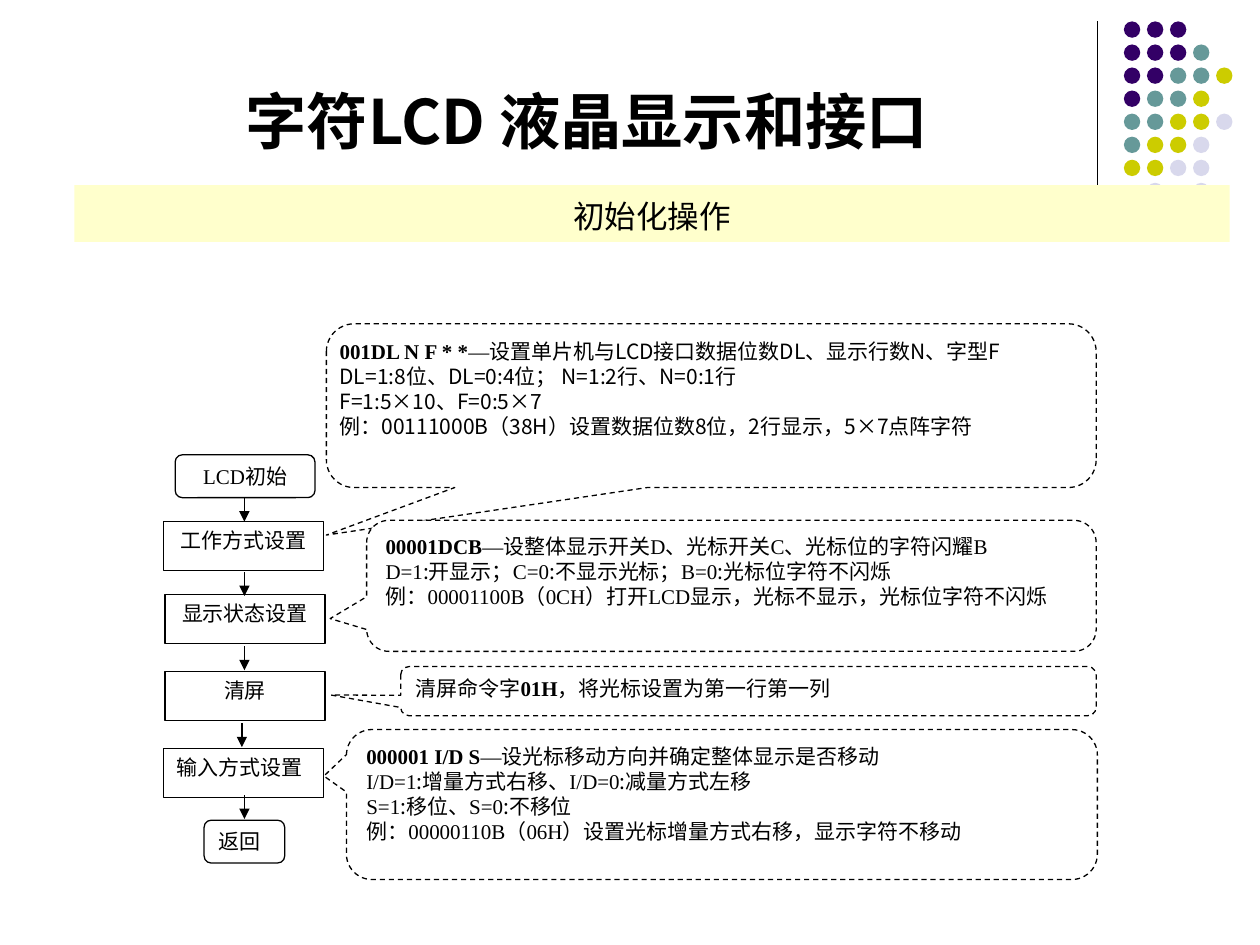
from itertools import groupby
from lxml import etree
from pptx import Presentation
from pptx.dml.color import RGBColor
from pptx.enum import dml, shapes, text
from pptx.oxml.ns import qn
from pptx.util import Inches, Pt

BLACK = RGBColor(0, 0, 0)
WHITE = RGBColor(255, 255, 255)
BAND = RGBColor(0xFF, 0xFF, 0xCC)
DOT_COLORS = {
    "P": RGBColor(0x33, 0x00, 0x66),
    "T": RGBColor(0x66, 0x99, 0x99),
    "Y": RGBColor(0xCC, 0xCC, 0x00),
    "L": RGBColor(0xD8, 0xD8, 0xEC),
}
SERIF, SANS, CJK = "Times New Roman", "Arial", "Noto Sans CJK SC"
CENTER, JUSTIFY = text.PP_ALIGN.CENTER, text.PP_ALIGN.JUSTIFY
RECTANGLE = shapes.MSO_SHAPE.RECTANGLE
ROUNDED = shapes.MSO_SHAPE.ROUNDED_RECTANGLE
CALLOUT = shapes.MSO_SHAPE.ROUNDED_RECTANGULAR_CALLOUT

DOT_ROWS = ["PPP", "PPPT", "PPTTY", "PTTY", "TTYYL", "TYYL", "YYLL", " L L"]

STEPS = [
    ("LCD初始", ROUNDED, (1.39, 3.61, 1.11, 0.34), CENTER),
    ("工作方式设置", RECTANGLE, (1.3, 4.14, 1.27, 0.39), CENTER),
    ("显示状态设置", RECTANGLE, (1.31, 4.72, 1.27, 0.39), CENTER),
    ("清屏", RECTANGLE, (1.31, 5.33, 1.27, 0.39), CENTER),
    ("输入方式设置", RECTANGLE, (1.3, 5.94, 1.27, 0.39), JUSTIFY),
    ("返回", ROUNDED, (1.62, 6.51, 0.64, 0.34), JUSTIFY),
]
ARROWS = [(1.94, 3.95), (1.94, 4.54), (1.94, 5.13), (1.92, 5.74), (1.94, 6.31)]
ARROW_LENGTH = 0.19

PLAIN, BOLD, GOTHIC = (SERIF, False), (SERIF, True), (CJK, False)
CALLOUTS = [
    ((2.59, 2.57, 6.11, 1.3), (-0.5, 0.79), 0.04, [
        [(BOLD, "001DL N F * *"), (PLAIN, "—"),
         (GOTHIC, "设置单片机与LCD接口数据位数DL、显示行数N、字型F")],
        [(GOTHIC, "DL=1:8位、DL=0:4位； N=1:2行、N=0:1行")],
        [(GOTHIC, "F=1:5×10、F=0:5×7")],
        [(GOTHIC, "例：00111000B（38H）设置数据位数8位，2行显示，5×7点阵字符")],
    ]),
    ((2.91, 4.13, 5.79, 1.04), (-0.55, 0.25), 0.1, [
        [(BOLD, "00001DCB"), (PLAIN, "—设整体显示开关D、光标开关C、光标位的字符闪耀B")],
        [(PLAIN, "D=1:开显示；C=0:不显示光标；B=0:光标位字符不闪烁")],
        [(PLAIN, "例：00001100B（0CH）打开LCD显示，光标不显示，光标位字符不闪烁")],
    ]),
    ((3.18, 5.29, 5.52, 0.39), (-0.6, 0.08), 0.1, [
        [(PLAIN, "清屏命令字"), (BOLD, "01H"), (PLAIN, "，将光标设置为第一行第一列")],
    ]),
    ((2.75, 5.79, 5.96, 1.19), (-0.53, -0.19), 0.1, [
        [(BOLD, "000001 I/D S"), (PLAIN, "—设光标移动方向并确定整体显示是否移动")],
        [(PLAIN, "I/D=1:增量方式右移、I/D=0:减量方式左移")],
        [(PLAIN, "S=1:移位、S=0:不移位")],
        [(PLAIN, "例：00000110B（06H）设置光标增量方式右移，显示字符不移动")],
    ]),
]


def apply(target, values):
    for name, value in values.items():
        setattr(target, name, value)


def write(shape, lines, size, align, inset=0.1, anchor=text.MSO_ANCHOR.TOP, spacing=None):
    frame = shape.text_frame
    apply(frame, {
        "word_wrap": True, "vertical_anchor": anchor,
        "margin_left": Inches(inset), "margin_right": Inches(inset),
        "margin_top": Inches(0.05), "margin_bottom": Inches(0.05),
    })
    for index, line in enumerate(lines):
        paragraph = frame.add_paragraph() if index else frame.paragraphs[0]
        apply(paragraph, {"alignment": align, "line_spacing": spacing})
        for (font, bold), content in line:
            for is_colon, letters in groupby(content, lambda letter: letter == ":"):
                run = paragraph.add_run()
                run.text = "".join(letters)
                apply(run.font, {"size": Pt(size), "bold": bold,
                                 "name": CJK if is_colon else font})
                run.font.color.rgb = BLACK


def add_shape(slide, kind, box, fill, outlined=True):
    shape = slide.shapes.add_shape(kind, *map(Inches, box))
    shape.shadow.inherit = False
    shape.fill.solid()
    shape.fill.fore_color.rgb = fill
    if outlined:
        shape.line.color.rgb = BLACK
        shape.line.width = Pt(0.75)
    else:
        shape.line.fill.background()
    return shape


def add_line(slide, x, top, bottom, arrow=False):
    line = slide.shapes.add_connector(
        shapes.MSO_CONNECTOR.STRAIGHT, *map(Inches, (x, top, x, bottom)))
    line.line.color.rgb = BLACK
    line.line.width = Pt(0.75)
    if arrow:
        etree.SubElement(line.line._get_or_add_ln(), qn("a:tailEnd"), type="triangle")
    etree.SubElement(line._element.spPr, qn("a:effectLst"))


def main():
    presentation = Presentation()
    apply(presentation, {"slide_width": Inches(10), "slide_height": Inches(7.5)})
    slide = presentation.slides.add_slide(presentation.slide_layouts[6])

    add_line(slide, 8.71, 0.17, 1.83)
    for row, dots in enumerate(DOT_ROWS):
        for column, dot in enumerate(dots):
            if dot in DOT_COLORS:
                box = (8.92 + 0.183 * column, 0.17 + 0.183 * row, 0.13, 0.13)
                add_shape(slide, shapes.MSO_SHAPE.OVAL, box, DOT_COLORS[dot], False)

    title = slide.shapes.add_textbox(*map(Inches, (1.85, 0.52, 5.68, 0.77)))
    write(title, [[((CJK, True), "字符LCD 液晶显示和接口")]], 35,
          text.PP_ALIGN.LEFT, anchor=text.MSO_ANCHOR.BOTTOM)
    band = add_shape(slide, RECTANGLE, (0.59, 1.47, 9.17, 0.45), BAND, False)
    write(band, [[((SANS, False), "初始化操作")]], 18, CENTER, spacing=1.15)

    for label, kind, box, align in STEPS:
        step = add_shape(slide, kind, box, WHITE)
        write(step, [[(PLAIN, label)]], 12, align)
    for x, top in ARROWS:
        add_line(slide, x, top, top + ARROW_LENGTH, arrow=True)

    for box, pointer, inset, lines in CALLOUTS:
        callout = add_shape(slide, CALLOUT, box, WHITE)
        callout.line.dash_style = dml.MSO_LINE.DASH
        for index, value in enumerate((*pointer, 0.17)):
            callout.adjustments[index] = value
        write(callout, lines, 12, JUSTIFY, inset)

    presentation.save("out.pptx")


if __name__ == "__main__":
    main()
